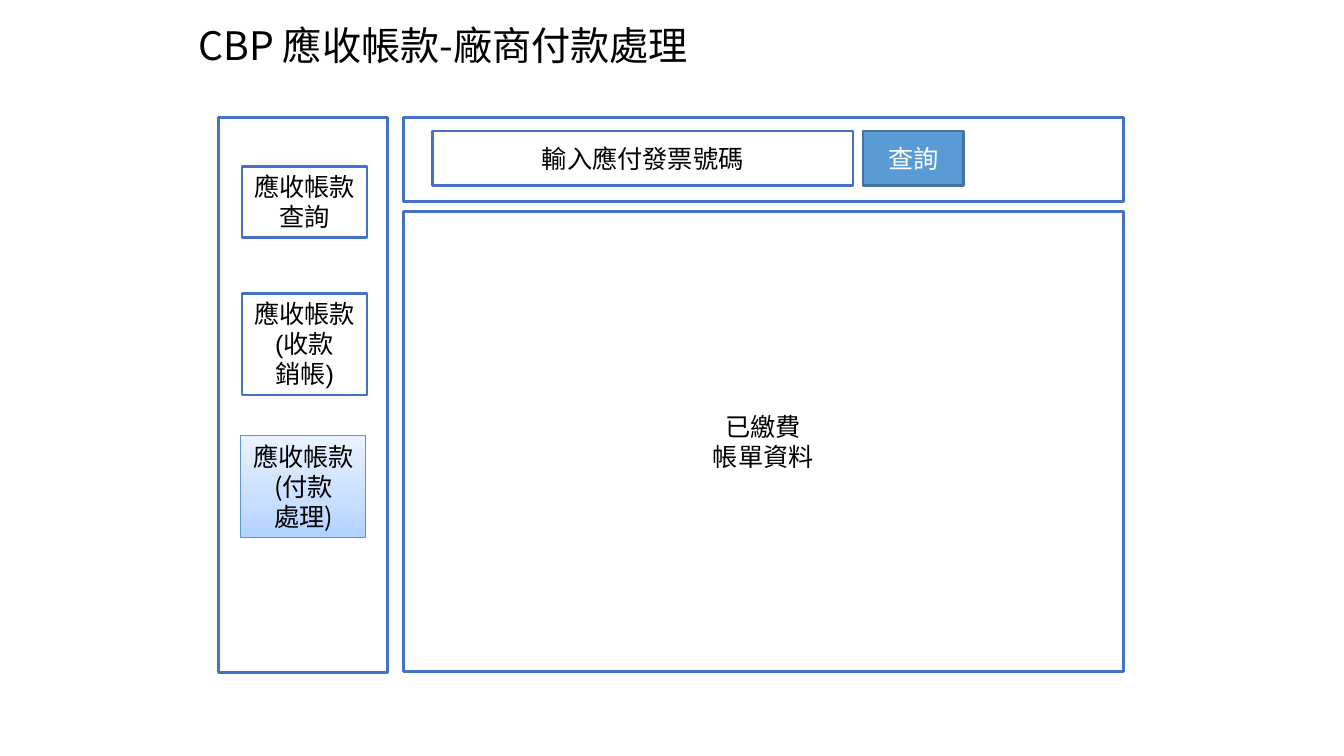
from copy import deepcopy

from lxml.etree import SubElement
from pptx import Presentation
from pptx.dml.color import RGBColor
from pptx.enum.shapes import MSO_SHAPE
from pptx.enum.text import MSO_ANCHOR, PP_ALIGN
from pptx.oxml.ns import qn
from pptx.util import Inches, Pt

# Content
TITLE = "CBP 應收帳款-廠商付款處理"
CJK_FONT = "Noto Sans CJK SC"
BLUE, WHITE, BLACK = "4472C4", "FFFFFF", "000000"
ACTIVE_STOPS = [(0, "B0D2FF"), (35, "C7DEFF"), (100, "EAF2FF")]

# Panels: left, top, width, height, lines
PANELS = [
    (4, 1.17, 7.14, 0.83, []),
    (4, 2.1, 7.14, 4.56, ["已繳費", "帳單資料"]),
    (2.17, 1.17, 1.67, 5.5, []),
]
SEARCH_TOP, SEARCH_HEIGHT = 1.3, 0.54
MENU_LEFT, MENU_WIDTH = 2.4, 1.24
# Plain menu buttons: top, height, lines
MENU = [
    (1.65, 0.71, ["應收帳款查詢"]),
    (2.91, 1.01, ["應收帳款(收款", "銷帳)"]),
]
ACTIVE_BUTTON = (2.39, 4.32, MENU_WIDTH, 1.01, ["應收帳款(付款", "處理)"])

presentation = Presentation()
presentation.slide_width, presentation.slide_height = Inches(13.33), Inches(7.5)
slide = presentation.slides.add_slide(presentation.slide_layouts[6])


def color(hex_value):
    return RGBColor.from_string(hex_value)


def add_run(paragraph, text, size, font, text_color):
    run = paragraph.add_run()
    run.text = text
    run.font.size = Pt(size)
    run.font.name = font
    run.font.color.rgb = color(text_color)
    east_asian = SubElement(run.font._element, qn("a:ea"))
    east_asian.set("typeface", CJK_FONT)


def add_box(left, top, width, height, lines, font="Calibri", fill=WHITE,
            line=BLUE, weight=2, text_color=BLACK, anchor=MSO_ANCHOR.MIDDLE):
    shape = slide.shapes.add_shape(MSO_SHAPE.RECTANGLE, Inches(left), Inches(top),
                                   Inches(width), Inches(height))
    shape.shadow.inherit = False
    shape.fill.solid()
    shape.fill.fore_color.rgb = color(fill)
    shape.line.color.rgb = color(line)
    shape.line.width = Pt(weight)
    frame = shape.text_frame
    frame.word_wrap = True
    frame.vertical_anchor = anchor
    for index, text in enumerate(lines):
        paragraph = frame.add_paragraph() if index else frame.paragraphs[0]
        paragraph.alignment = PP_ALIGN.CENTER
        add_run(paragraph, text, 18, font, text_color)
    return shape


def set_gradient(shape, stops, angle):
    fill = shape.fill
    fill.gradient()
    fill.gradient_angle = angle
    stop_list = shape._element.spPr.find(qn("a:gradFill")).find(qn("a:gsLst"))
    while len(stop_list) < len(stops):
        stop_list.append(deepcopy(stop_list[-1]))
    for stop, (percent, hex_value) in zip(fill.gradient_stops, stops):
        stop.position = percent / 100
        stop.color.rgb = color(hex_value)


# Title
title = slide.shapes.add_textbox(Inches(1.92), Inches(0.17), Inches(9), Inches(0.6))
title_frame = title.text_frame
title_frame.word_wrap = True
title_frame.vertical_anchor = MSO_ANCHOR.MIDDLE
title_frame.margin_left = title_frame.margin_right = Inches(0.05)
title_frame.margin_top = title_frame.margin_bottom = Inches(0.05)
title_frame.paragraphs[0].line_spacing = 0.9
add_run(title_frame.paragraphs[0], TITLE, 28, CJK_FONT, BLACK)

# Panels
for panel in PANELS:
    add_box(*panel)

# Search bar
add_box(4.29, SEARCH_TOP, 4.17, SEARCH_HEIGHT, ["輸入應付發票號碼"], font="Arial")
add_box(8.56, SEARCH_TOP, 1, SEARCH_HEIGHT, ["查詢"],
        fill="5B9BD5", line="43739E", text_color=WHITE)

# Side menu, with the current page shaded
for top, height, lines in MENU:
    add_box(MENU_LEFT, top, MENU_WIDTH, height, lines, font="Arial", anchor=MSO_ANCHOR.TOP)
active = add_box(*ACTIVE_BUTTON, font=CJK_FONT, line="5698D3", weight=0.75)
set_gradient(active, ACTIVE_STOPS, 90)

presentation.save("out.pptx")
